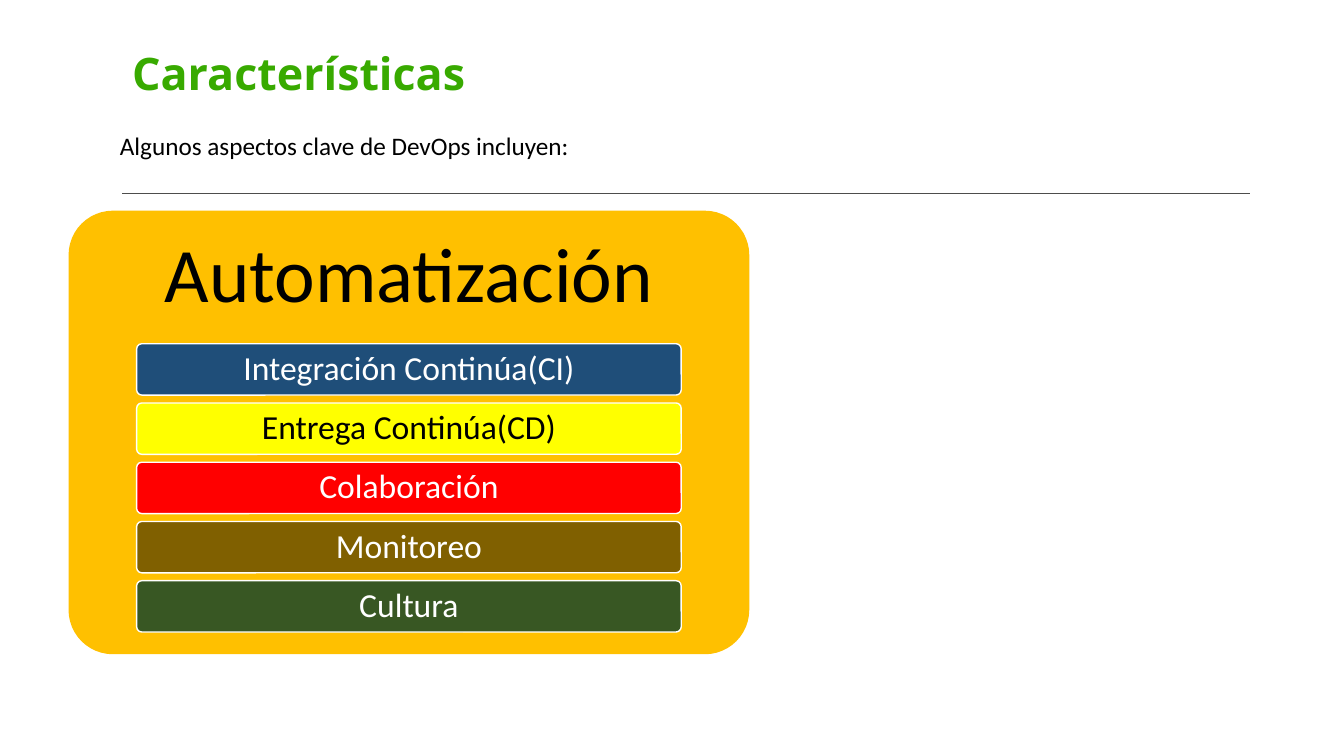
from pptx import Presentation
from pptx.dml.color import RGBColor
from pptx.enum.shapes import MSO_CONNECTOR, MSO_SHAPE
from pptx.enum.text import MSO_ANCHOR, PP_ALIGN
from pptx.oxml.ns import qn
from pptx.util import Inches, Pt
from lxml.etree import SubElement

SLIDE_W, SLIDE_H = Inches(13.33), Inches(7.5)
COLOURS = {
    "green": "38AA00", "grey": "4D4D4C", "amber": "FFC000", "black": "000000",
    "white": "FFFFFF", "blue": "1F4E79", "yellow": "FFFF00", "red": "FF0000",
    "brown": "806000", "forest": "385723",
}
ASPECTS = [
    ("Integración Continúa(CI)", "blue", "white"),
    ("Entrega Continúa(CD)", "yellow", "black"),
    ("Colaboración", "red", "white"),
    ("Monitoreo", "brown", "white"),
    ("Cultura", "forest", "white"),
]

# Panel as percentages of the slide: left, top, width, height
PANEL = (5.1, 27.87, 50.65, 58.67)
HEADING_SHARE, BARS_SHARE, BAR_GAP = 0.3, 0.65, 0.154


def colour(name):
    return RGBColor.from_string(COLOURS[name])


def place(left, top, width, height):
    """Turn percentages of the slide into lengths."""
    return (int(SLIDE_W * left / 100), int(SLIDE_H * top / 100),
            int(SLIDE_W * width / 100), int(SLIDE_H * height / 100))


def write(shape, text, size, ink, font="Calibri", bold=False, align=PP_ALIGN.LEFT,
          anchor=MSO_ANCHOR.TOP, insets=(0.1, 0.05), spacing=0.9):
    frame = shape.text_frame
    frame.word_wrap = True
    frame.vertical_anchor = anchor
    frame.margin_left = frame.margin_right = Inches(insets[0])
    frame.margin_top = frame.margin_bottom = Inches(insets[1])
    paragraph = frame.paragraphs[0]
    paragraph.alignment = align
    paragraph.line_spacing = spacing
    paragraph.space_before = Pt(0)
    run = paragraph.add_run()
    run.text = text
    run.font.name, run.font.size, run.font.bold = font, Pt(size), bold
    run.font.color.rgb = colour(ink)


def add_rounded(slide, box, fill, outline=None):
    shape = slide.shapes.add_shape(MSO_SHAPE.ROUNDED_RECTANGLE, *place(*box))
    shape.adjustments[0] = 0.1
    shape.shadow.inherit = False
    shape.fill.solid()
    shape.fill.fore_color.rgb = colour(fill)
    if outline:
        shape.line.color.rgb = colour(outline)
        shape.line.width = Pt(1)
    else:
        shape.line.fill.background()
    return shape


def add_rule(slide, left, right, height):
    x1, y, x2, _ = place(left, height, right, 0)
    rule = slide.shapes.add_connector(MSO_CONNECTOR.STRAIGHT, x1, y, x2, y)
    rule.line.color.rgb = colour("grey")
    rule.line.width = Pt(1)
    SubElement(rule._element.spPr, qn("a:effectLst"))


def add_panel(slide):
    left, top, width, height = PANEL
    add_rounded(slide, PANEL, "amber")
    heading_height = height * HEADING_SHARE
    heading = slide.shapes.add_textbox(*place(left, top, width, heading_height))
    write(heading, "Automatización", 55, "black", align=PP_ALIGN.CENTER,
          anchor=MSO_ANCHOR.MIDDLE, insets=(0.23, 0.23))

    # Bars share the rest of the panel with equal gaps
    count = len(ASPECTS)
    bar_height = height * BARS_SHARE / (count + (count - 1) * BAR_GAP)
    for row, (label, fill, ink) in enumerate(ASPECTS):
        bar_top = top + heading_height + row * bar_height * (1 + BAR_GAP)
        bar = add_rounded(slide, (left + width * 0.1, bar_top, width * 0.8, bar_height),
                          fill, "white")
        write(bar, label, 24, ink, align=PP_ALIGN.CENTER,
              anchor=MSO_ANCHOR.MIDDLE, insets=(0.07, 0.05))


def main():
    deck = Presentation()
    deck.slide_width, deck.slide_height = SLIDE_W, SLIDE_H
    slide = deck.slides.add_slide(deck.slide_layouts[5])

    # Title
    title = slide.shapes.title
    title.left, title.top, title.width, title.height = place(9.08, 6.13, 85.9, 9.87)
    write(title, "Características", 32, "green", font="Noto Sans", bold=True,
          align=PP_ALIGN.JUSTIFY)

    # Rule and panel
    add_rule(slide, 9.08, 93.02, 25.6)
    add_panel(slide)

    # Introduction
    intro = slide.shapes.add_textbox(*place(8.18, 16.53, 50.04, 5.33))
    write(intro, "Algunos aspectos clave de DevOps incluyen:", 18, "black", spacing=1.0)

    deck.save("out.pptx")


if __name__ == "__main__":
    main()
